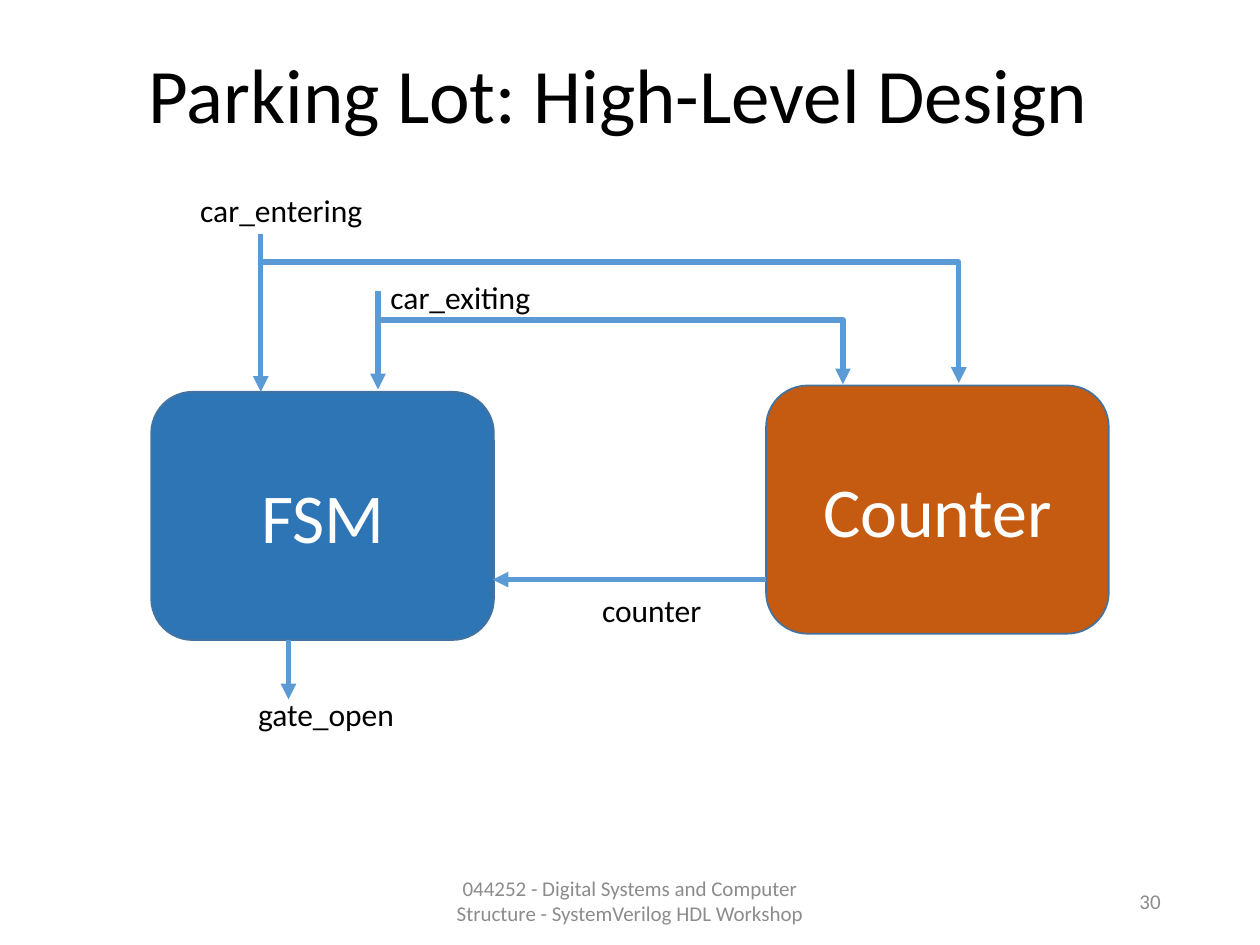
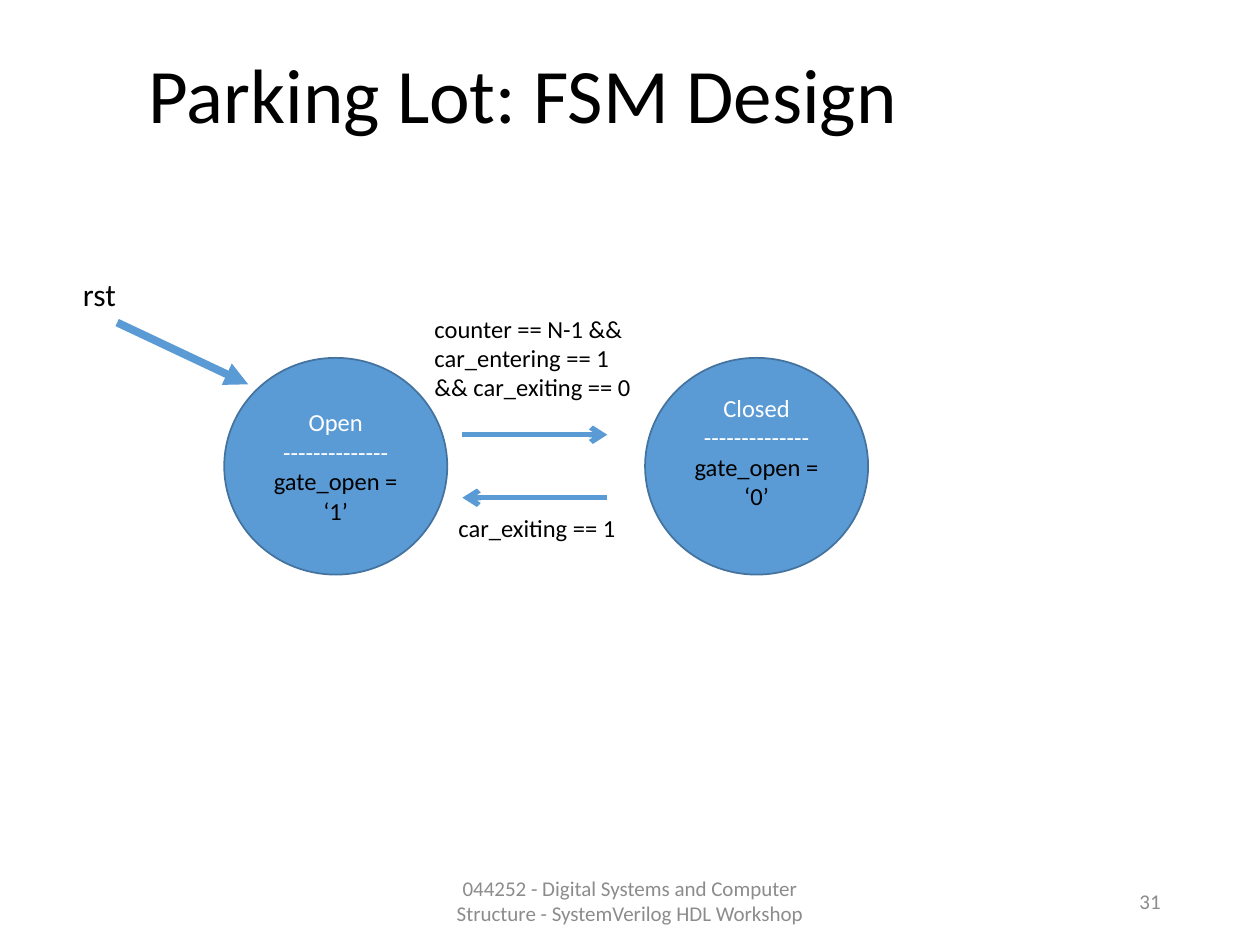
"""Build the two parking lot design slides: block diagram and state machine."""
from dataclasses import dataclass

from lxml import etree
from pptx import Presentation
from pptx.dml.color import RGBColor
from pptx.enum.shapes import MSO_CONNECTOR, MSO_SHAPE
from pptx.enum.text import MSO_ANCHOR, MSO_AUTO_SIZE, PP_ALIGN
from pptx.oxml.ns import qn
from pptx.util import Inches, Pt

STRAIGHT, ELBOW = MSO_CONNECTOR.STRAIGHT, MSO_CONNECTOR.ELBOW
ROUNDED, OVAL = MSO_SHAPE.ROUNDED_RECTANGLE, MSO_SHAPE.OVAL
LEFT, CENTER, RIGHT = PP_ALIGN.LEFT, PP_ALIGN.CENTER, PP_ALIGN.RIGHT
TOP, MIDDLE = MSO_ANCHOR.TOP, MSO_ANCHOR.MIDDLE
NO_AUTOFIT = MSO_AUTO_SIZE.NONE
TITLE_ONLY = 5


@dataclass(frozen=True)
class Theme:
    """Shared colours, font and type sizes."""
    font: str = "Calibri"
    black: str = "000000"
    white: str = "FFFFFF"
    grey: str = "8C8C8C"
    blue: str = "5B9BD5"
    dark_blue: str = "2E75B6"
    orange: str = "C55A11"
    outline: str = "43739E"
    title_size: float = 44
    block_size: float = 40
    signal_size: float = 18
    state_size: float = 14
    footer_size: float = 12


THEME = Theme()
COURSE = "044252 - Digital Systems and Computer Structure - SystemVerilog HDL Workshop"


@dataclass(frozen=True)
class Label:
    """A text box."""
    text: str
    box: tuple
    size: float = THEME.signal_size
    color: str = THEME.black
    align: PP_ALIGN = LEFT
    anchor: MSO_ANCHOR = TOP


@dataclass(frozen=True)
class Node:
    """A filled shape whose lines each carry a text and a colour."""
    kind: MSO_SHAPE
    box: tuple
    fill: str
    lines: tuple
    size: float
    bottom_inset: float = 0.05


@dataclass(frozen=True)
class Arrow:
    """A connector with an arrowhead at its end."""
    start: tuple
    end: tuple
    kind: MSO_CONNECTOR = STRAIGHT
    head: str = "triangle"
    width: float = 3


def block(name: str, left: float, top: float, fill: str) -> Node:
    """Describe one hardware block."""
    return Node(ROUNDED, (left, top, 2.72, 1.97), fill,
                ((name, THEME.white),), THEME.block_size)


def state(name: str, output: str, left: float, bottom_inset: float = 0.05) -> Node:
    """Describe one state of the machine and its output."""
    lines = ((name, THEME.white), ("-" * 14, THEME.white),
             (f"gate_open = ‘{output}’", THEME.black))
    return Node(OVAL, (left, 2.84, 1.77, 1.72), THEME.blue, lines,
                THEME.state_size, bottom_inset)


HIGH_LEVEL = (
    block("FSM", 1.2, 3.11, THEME.dark_blue),
    block("Counter", 6.08, 3.06, THEME.orange),
    Arrow((6.08, 4.6), (3.91, 4.6)),
    Label("counter", (4.68, 4.64, 1.03, 0.4)),
    Arrow((2.07, 1.86), (2.07, 3.11)),
    Arrow((3, 2.31), (3, 3.09)),
    Label("car_entering", (1.49, 1.47, 1.58, 0.4)),
    Label("car_exiting", (3, 2.16, 1.58, 0.4)),
    Arrow((3, 2.54), (6.69, 3.05), ELBOW),
    Arrow((2.07, 2.08), (7.61, 3.04), ELBOW),
    Arrow((2.29, 5.08), (2.29, 5.55)),
    Label("gate_open", (1.95, 5.47, 1.36, 0.4)),
)

STATE_MACHINE = (
    state("Open", "1", 1.78),
    Arrow((3.67, 3.45), (4.82, 3.45), head="arrow"),
    state("Closed", "0", 5.12, bottom_inset=0.28),
    Label("counter == N-1 && car_entering == 1 && car_exiting == 0",
          (3.35, 2.44, 1.77, 0.81), THEME.state_size),
    Arrow((4.82, 3.95), (3.67, 3.95), head="arrow"),
    Label("car_exiting == 1", (3.54, 4.02, 1.77, 0.34), THEME.state_size),
    Arrow((0.93, 2.56), (1.97, 3.05), width=4.5),
    Label("rst", (0.56, 2.13, 0.52, 0.4)),
)


def inches(values: tuple) -> list:
    """Turn numbers into lengths."""
    return [Inches(value) for value in values]


def style(paragraph, size: float, color: str, align: PP_ALIGN) -> None:
    """Format a paragraph."""
    paragraph.alignment = align
    paragraph.font.name = THEME.font
    paragraph.font.size = Pt(size)
    paragraph.font.color.rgb = RGBColor.from_string(color)


def draw_label(slide, label: Label) -> None:
    """Draw a text box."""
    frame = slide.shapes.add_textbox(*inches(label.box)).text_frame
    frame.word_wrap = True
    frame.vertical_anchor = label.anchor
    frame.text = label.text
    style(frame.paragraphs[0], label.size, label.color, label.align)


def draw_node(slide, node: Node) -> None:
    """Draw a filled shape with centred lines of text."""
    body = slide.shapes.add_shape(node.kind, *inches(node.box))
    body.shadow.inherit = False
    body.fill.solid()
    body.fill.fore_color.rgb = RGBColor.from_string(node.fill)
    body.line.color.rgb = RGBColor.from_string(THEME.outline)
    body.line.width = Pt(1)
    frame = body.text_frame
    frame.word_wrap = True
    frame.vertical_anchor = MIDDLE
    frame.margin_bottom = Inches(node.bottom_inset)
    frame.text = "\n".join(text for text, _ in node.lines)
    for paragraph, (_, color) in zip(frame.paragraphs, node.lines):
        style(paragraph, node.size, color, CENTER)


def draw_arrow(slide, arrow: Arrow) -> None:
    """Draw an arrow; an elbow runs across first and then down."""
    wire = slide.shapes.add_connector(arrow.kind, *inches(arrow.start + arrow.end))
    wire.line.color.rgb = RGBColor.from_string(THEME.blue)
    wire.line.width = Pt(arrow.width)
    properties = wire.element.spPr
    etree.SubElement(properties.find(qn("a:ln")), qn("a:tailEnd"), type=arrow.head)
    etree.SubElement(properties, qn("a:effectLst"))
    if arrow.kind == ELBOW:
        guides = properties.find(qn("a:prstGeom")).find(qn("a:avLst"))
        etree.SubElement(guides, qn("a:gd"), name="adj1", fmla="val 100000")


DRAW = {Label: draw_label, Node: draw_node, Arrow: draw_arrow}


def add_slide(deck, title: str, number: int, parts: tuple) -> None:
    """Add a slide with its title, diagram parts and footer."""
    slide = deck.slides.add_slide(deck.slide_layouts[TITLE_ONLY])
    heading = slide.shapes.title
    heading.left, heading.top, heading.width, heading.height = inches((1.08, 0.06, 8.62, 1.45))
    frame = heading.text_frame
    frame.text = title
    frame.auto_size = NO_AUTOFIT
    frame.vertical_anchor = MIDDLE
    frame.paragraphs[0].line_spacing = 0.9
    style(frame.paragraphs[0], THEME.title_size, THEME.black, LEFT)
    footer = (
        Label(COURSE, (3.31, 6.95, 3.38, 0.4), THEME.footer_size, THEME.grey, CENTER, MIDDLE),
        Label(str(number), (7.06, 6.95, 2.25, 0.4), THEME.footer_size, THEME.grey, RIGHT, MIDDLE),
    )
    for part in parts + footer:
        DRAW[type(part)](slide, part)


def main() -> None:
    """Build and save the deck."""
    deck = Presentation()
    deck.slide_width, deck.slide_height = inches((10, 7.5))
    add_slide(deck, "Parking Lot: High-Level Design", 30, HIGH_LEVEL)
    add_slide(deck, "Parking Lot: FSM Design", 31, STATE_MACHINE)
    deck.save("out.pptx")


if __name__ == "__main__":
    main()
